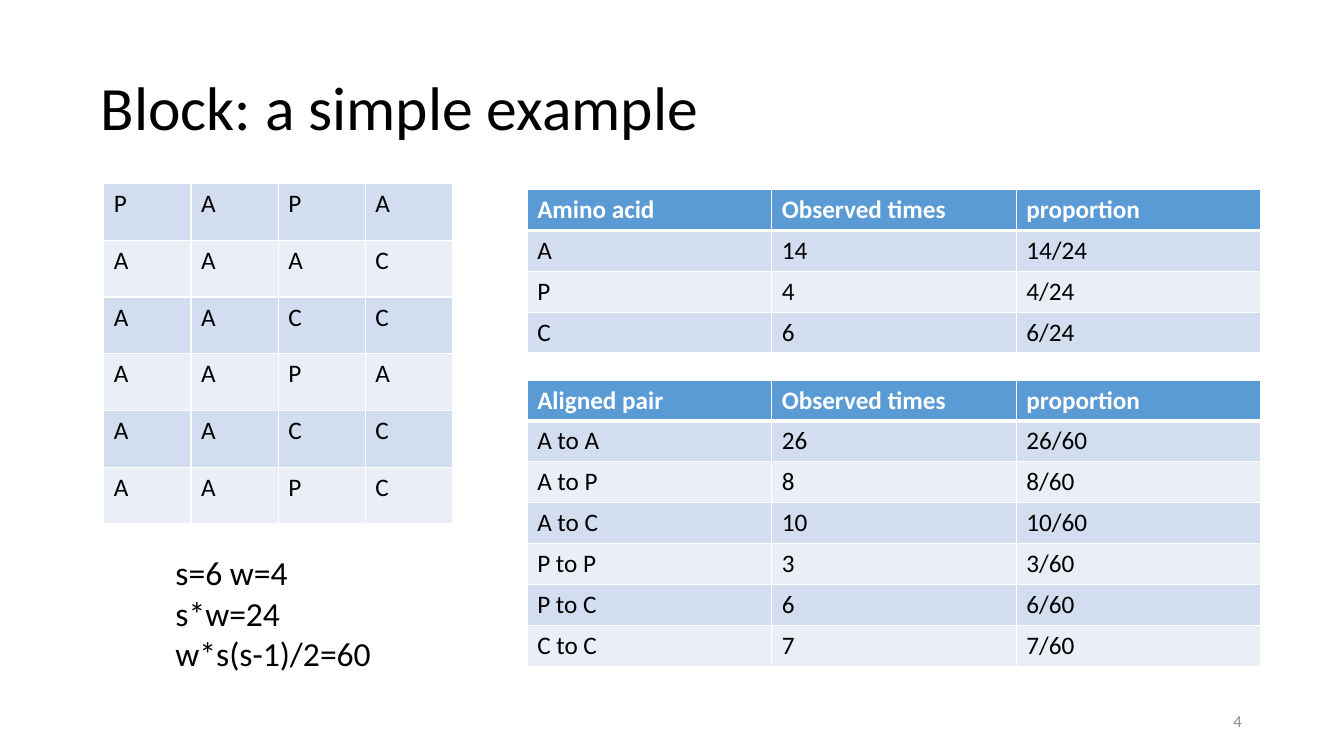
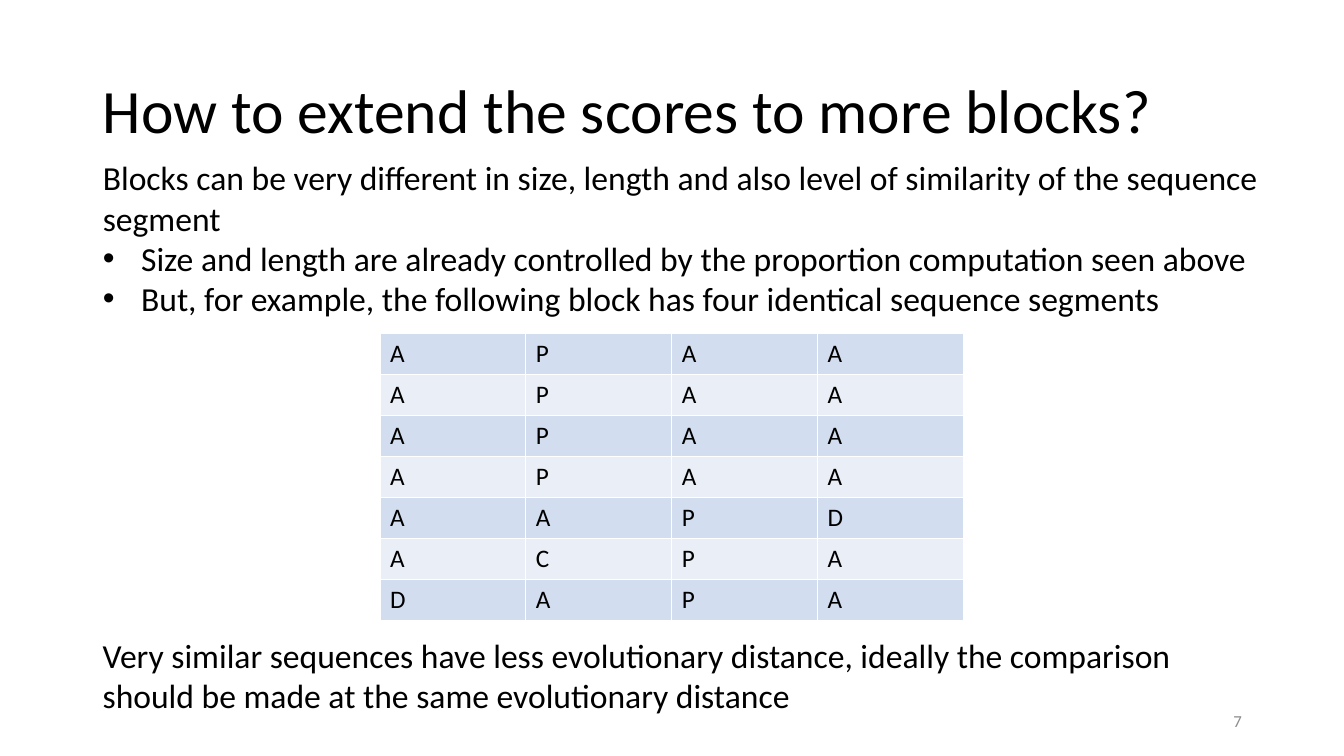
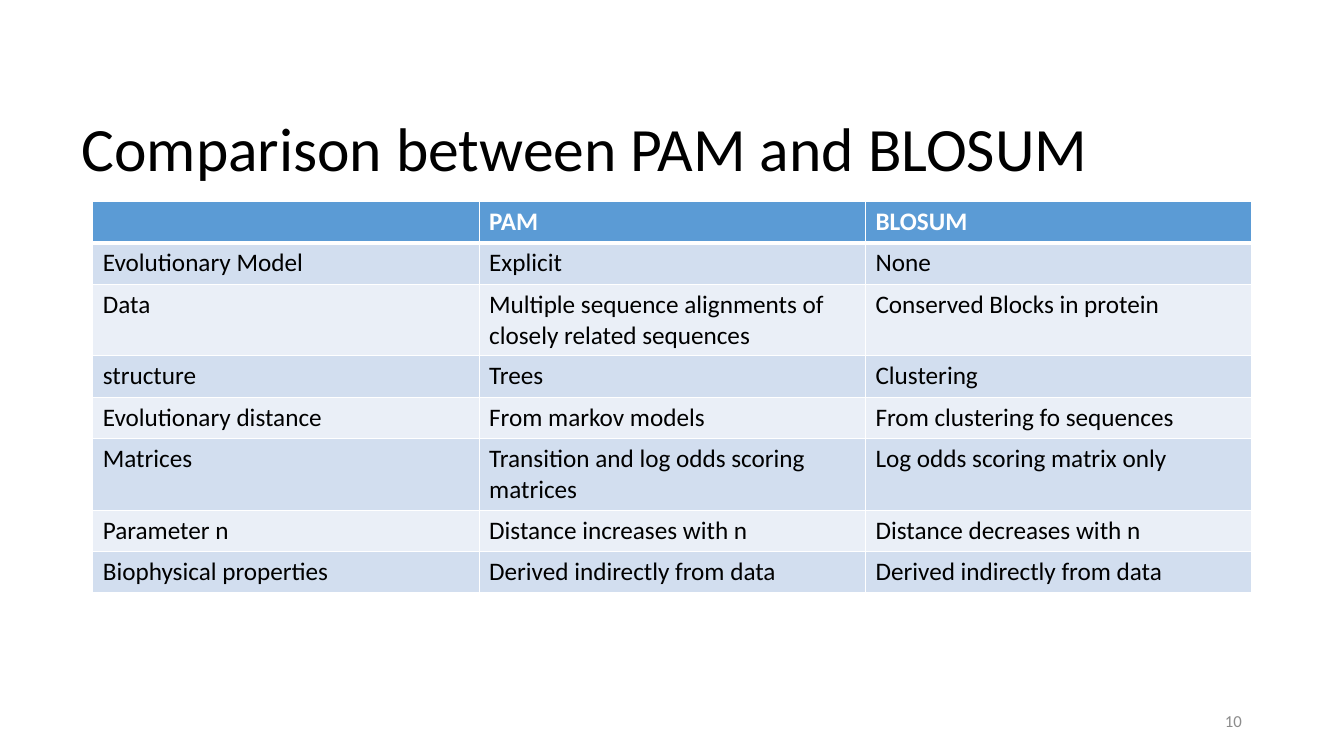
"""Build three slides on block scores and substitution matrices."""
from dataclasses import dataclass

from lxml import etree
from pptx import Presentation
from pptx.dml.color import RGBColor
from pptx.enum.text import MSO_ANCHOR, MSO_AUTO_SIZE, PP_ALIGN
from pptx.oxml.ns import qn
from pptx.util import Emu, Inches, Pt

LEFT, RIGHT = PP_ALIGN.LEFT, PP_ALIGN.RIGHT
TOP, MIDDLE = MSO_ANCHOR.TOP, MSO_ANCHOR.MIDDLE
NO_FIT = MSO_AUTO_SIZE.NONE
GRID_COLUMNS, GRID_ROWS = 40, 22.5
CELL = Inches(1) // 3
BULLET_INDENT = Inches(0.38)
TITLE_AND_CONTENT, TITLE_ONLY = 1, 5


@dataclass(frozen=True)
class Theme:
    """Colours, font and type sizes of the deck."""

    font: str = "Calibri"
    ink: str = "000000"
    paper: str = "FFFFFF"
    muted: str = "8C8C8C"
    header: str = "5B9BD5"
    bands: tuple[str, str] = ("D2DEEF", "EAEFF7")
    title_size: int = 44
    body_size: int = 24
    table_size: int = 18
    page_size: int = 12
    rule: int = 1
    header_rule: int = 3


THEME = Theme()


@dataclass(frozen=True)
class Box:
    """A rectangle in grid columns and rows."""

    left: float
    top: float
    width: float
    height: float

    def lengths(self) -> list[Emu]:
        """Return left, top, width and height as lengths."""
        return [Emu(round(n * CELL)) for n in (self.left, self.top, self.width, self.height)]


@dataclass(frozen=True)
class Line:
    """One paragraph, with or without a bullet."""

    text: str
    bullet: bool = False


@dataclass(frozen=True)
class Grid:
    """A banded table with an optional header row."""

    box: Box
    rows: list[tuple[str, ...]]
    header: bool = True


@dataclass(frozen=True)
class Page:
    """Everything that one slide shows."""

    title: str
    title_left: float
    title_top: float
    number: int
    grids: list[Grid]
    body_box: Box | None = None
    body: tuple[Line, ...] = ()
    note_box: Box | None = None
    note: str = ""


def place(shape, box: Box) -> None:
    """Move a shape to its box."""
    shape.left, shape.top, shape.width, shape.height = box.lengths()


def style(para, size: int, color: str, bold: bool = False, align=LEFT) -> None:
    """Set the font and alignment of a paragraph."""
    para.alignment = align
    font = para.font
    font.name, font.size, font.bold = THEME.font, Pt(size), bold
    font.color.rgb = RGBColor.from_string(color)


def set_bullet(para, shown: bool) -> None:
    """Give a paragraph a hanging bullet or none."""
    props = para._p.get_or_add_pPr()
    indent = BULLET_INDENT if shown else 0
    props.set("marL", str(indent))
    props.set("indent", str(-indent))
    if shown:
        etree.SubElement(props, qn("a:buFont")).set("typeface", "Arial")
        etree.SubElement(props, qn("a:buChar")).set("char", "•")
    else:
        etree.SubElement(props, qn("a:buNone"))


def prepare_frame(shape, anchor):
    """Return a wrapping text frame with a fixed size."""
    frame = shape.text_frame
    frame.word_wrap, frame.auto_size, frame.vertical_anchor = True, NO_FIT, anchor
    return frame


def fill_title(shape, page: Page) -> None:
    """Place and format the title."""
    place(shape, Box(page.title_left, page.title_top, 34.5, 4.35))
    frame = prepare_frame(shape, MIDDLE)
    frame.text = page.title
    para = frame.paragraphs[0]
    para.line_spacing = 0.9
    style(para, THEME.title_size, THEME.ink)


def fill_body(shape, box: Box, lines: tuple[Line, ...]) -> None:
    """Place and format the lines of the body."""
    place(shape, box)
    frame = prepare_frame(shape, TOP)
    frame.text = "\n".join(line.text for line in lines)
    for para, line in zip(frame.paragraphs, lines):
        para.line_spacing, para.space_before = 1.0, Pt(0)
        set_bullet(para, line.bullet)
        style(para, THEME.body_size, THEME.ink)


def add_label(slide, box: Box, text: str, size: int, color: str, align=LEFT, anchor=TOP) -> None:
    """Add a text box with one paragraph."""
    frame = prepare_frame(slide.shapes.add_textbox(*box.lengths()), anchor)
    frame.text = text
    style(frame.paragraphs[0], size, color, align=align)


def set_borders(cell, top: int, bottom: int) -> None:
    """Draw the four borders of a cell."""
    props = cell._tc.get_or_add_tcPr()
    widths = {"lnL": THEME.rule, "lnR": THEME.rule, "lnT": top, "lnB": bottom}
    for index, (tag, width) in enumerate(widths.items()):
        border = etree.Element(qn(f"a:{tag}"), w=str(Pt(width)))
        fill = etree.SubElement(border, qn("a:solidFill"))
        etree.SubElement(fill, qn("a:srgbClr")).set("val", THEME.paper)
        props.insert(index, border)


def add_grid(slide, grid: Grid) -> None:
    """Add a table with equal columns and rows."""
    row_count, column_count = len(grid.rows), len(grid.rows[0])
    table = slide.shapes.add_table(row_count, column_count, *grid.box.lengths()).table
    table.first_row, table.horz_banding = grid.header, False
    for row_index, row in enumerate(grid.rows):
        is_header = grid.header and row_index == 0
        below_header = grid.header and row_index == 1
        band = THEME.bands[(row_index - grid.header) % 2]
        for column_index, text in enumerate(row):
            cell = table.cell(row_index, column_index)
            cell.text = text
            cell.fill.solid()
            cell.fill.fore_color.rgb = RGBColor.from_string(THEME.header if is_header else band)
            set_borders(
                cell,
                THEME.header_rule if below_header else THEME.rule,
                THEME.header_rule if is_header else THEME.rule,
            )
            color = THEME.paper if is_header else THEME.ink
            style(cell.text_frame.paragraphs[0], THEME.table_size, color, is_header)


def count_rows(name: str, counts: dict[str, int]) -> list[tuple[str, ...]]:
    """Return a header and one row of count and proportion per item."""
    total = sum(counts.values())
    rows = [(item, str(count), f"{count}/{total}") for item, count in counts.items()]
    return [(name, "Observed times", "proportion"), *rows]


def letter_rows(*sequences: str) -> list[tuple[str, ...]]:
    """Split sequences into one letter per cell."""
    return [tuple(sequence) for sequence in sequences]


AMINO_ACIDS = {"A": 14, "P": 4, "C": 6}
ALIGNED_PAIRS = {"A to A": 26, "A to P": 8, "A to C": 10, "P to P": 3, "P to C": 6, "C to C": 7}
COMPARISON = [
    ("", "PAM", "BLOSUM"),
    ("Evolutionary Model", "Explicit", "None"),
    (
        "Data",
        "Multiple sequence alignments of closely related sequences",
        "Conserved Blocks in protein",
    ),
    ("structure", "Trees", "Clustering"),
    ("Evolutionary distance", "From markov models", "From clustering fo sequences"),
    ("Matrices", "Transition and log odds scoring matrices", "Log odds scoring matrix only"),
    ("Parameter n", "Distance increases with n", "Distance decreases with n"),
    ("Biophysical properties", "Derived indirectly from data", "Derived indirectly from data"),
]

PAGES = [
    Page(
        title="Block: a simple example",
        title_left=2.7,
        title_top=1.11,
        number=4,
        grids=[
            Grid(
                Box(3.09, 5.46, 10.38, 10.14),
                letter_rows("PAPA", "AAAC", "AACC", "AAPA", "AACC", "AAPC"),
                header=False,
            ),
            Grid(Box(15.69, 5.64, 21.84, 4.86), count_rows("Amino acid", AMINO_ACIDS)),
            Grid(Box(15.69, 11.31, 21.84, 8.52), count_rows("Aligned pair", ALIGNED_PAIRS)),
        ],
        body_box=Box(4.92, 16.29, 6.69, 3.93),
        body=(Line("s=6 w=4"), Line("s*w=24"), Line("w*s(s-1)/2=60")),
    ),
    Page(
        title="How to extend the scores to more blocks?",
        title_left=2.76,
        title_top=1.2,
        number=7,
        grids=[
            Grid(
                Box(11.31, 9.93, 17.37, 8.55),
                letter_rows(*["APAA"] * 4, "AAPD", "ACPA", "DAPA"),
                header=False,
            ),
        ],
        body_box=Box(2.76, 4.53, 35.55, 5.16),
        body=(
            Line(
                "Blocks can be very different in size, length and also level of similarity "
                "of the sequence"
            ),
            Line("segment"),
            Line(
                "Size and length are already controlled by the proportion computation seen above",
                bullet=True,
            ),
            Line(
                "But, for example, the following block has four identical sequence segments",
                bullet=True,
            ),
        ),
        note_box=Box(2.76, 18.75, 34.5, 2.73),
        note="Very similar sequences have less evolutionary distance, ideally the comparison "
        "should be made at the same evolutionary distance",
    ),
    Page(
        title="Comparison between PAM and BLOSUM",
        title_left=2.13,
        title_top=2.34,
        number=10,
        grids=[Grid(Box(2.76, 6, 34.5, 9.84), COMPARISON)],
    ),
]
NUMBER_BOX = Box(28.26, 20.85, 9, 1.2)


def add_page(deck, page: Page) -> None:
    """Add one slide to the deck."""
    layout = TITLE_AND_CONTENT if page.body_box else TITLE_ONLY
    slide = deck.slides.add_slide(deck.slide_layouts[layout])
    fill_title(slide.shapes.title, page)
    if page.body_box:
        fill_body(slide.placeholders[1], page.body_box, page.body)
    for grid in page.grids:
        add_grid(slide, grid)
    if page.note_box:
        add_label(slide, page.note_box, page.note, THEME.body_size, THEME.ink)
    add_label(
        slide, NUMBER_BOX, str(page.number), THEME.page_size, THEME.muted, RIGHT, MIDDLE
    )


def main() -> None:
    """Build and save the deck."""
    deck = Presentation()
    deck.slide_width, deck.slide_height = GRID_COLUMNS * CELL, int(GRID_ROWS * CELL)
    for page in PAGES:
        add_page(deck, page)
    deck.save("out.pptx")


if __name__ == "__main__":
    main()
